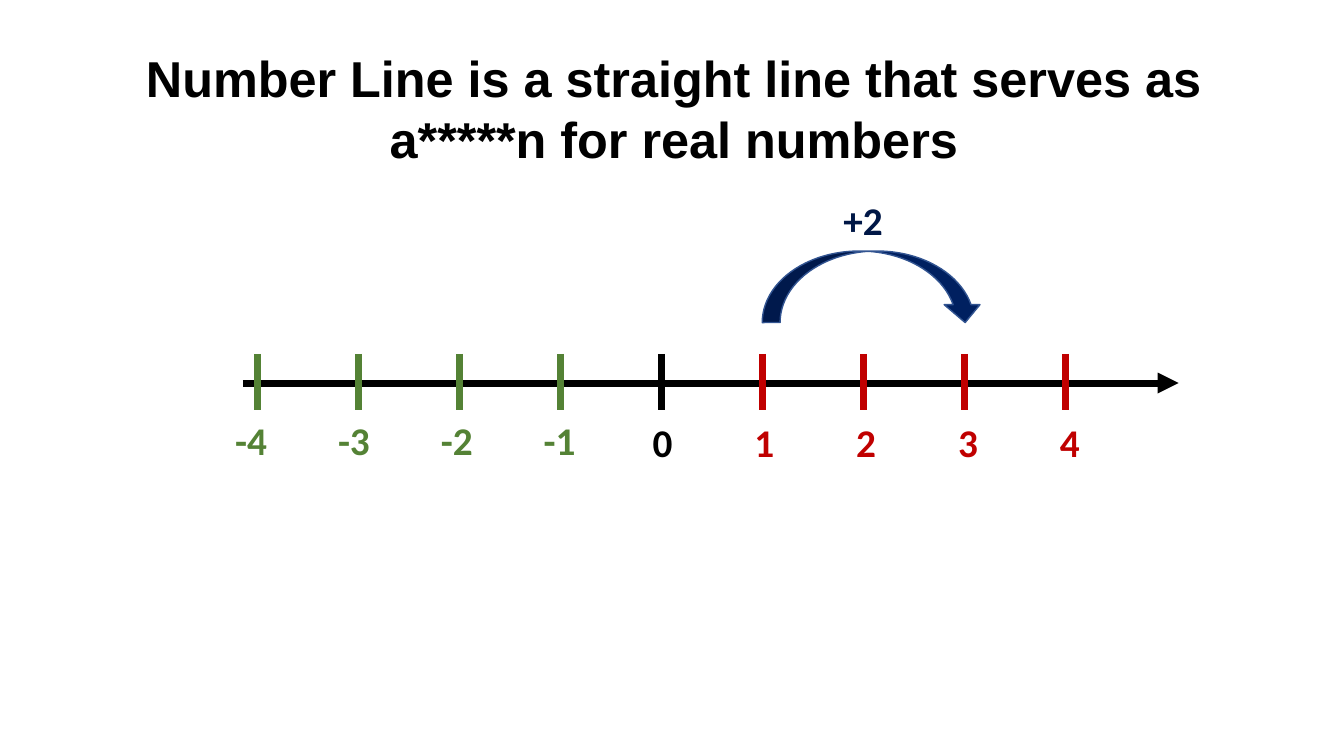
from lxml import etree
from pptx import Presentation
from pptx.dml.color import RGBColor
from pptx.enum import shapes, text
from pptx.oxml import ns
from pptx.util import Inches, Pt

BLACK, RED, GREEN = "000000", "C00000", "548235"
NAVY, NAVY_EDGE, NAVY_TEXT = "002060", "325491", "001746"


def colour(hex_string):
    return RGBColor.from_string(hex_string)


def write(shape, wording, font, size, hex_string):
    """Put one bold, centred run into a shape."""
    frame = shape.text_frame
    frame.word_wrap = True
    frame.auto_size = text.MSO_AUTO_SIZE.NONE
    frame.vertical_anchor = text.MSO_ANCHOR.TOP
    para = frame.paragraphs[0]
    para.alignment = text.PP_ALIGN.CENTER
    span = para.add_run()
    span.text = wording
    span.font.name = font
    span.font.size = Pt(size)
    span.font.bold = True
    span.font.color.rgb = colour(hex_string)


def add_label(page, left, top, wording, hex_string):
    box = page.shapes.add_textbox(Inches(left), Inches(top), Inches(0.88), Inches(0.57))
    write(box, wording, "Calibri", 28, hex_string)


def add_line(page, x1, y1, x2, y2, hex_string, arrow=False):
    line = page.shapes.add_connector(
        shapes.MSO_CONNECTOR.STRAIGHT, Inches(x1), Inches(y1), Inches(x2), Inches(y2))
    line.line.color.rgb = colour(hex_string)
    line.line.width = Pt(5)
    if arrow:
        etree.SubElement(line.line._get_or_add_ln(), ns.qn("a:tailEnd"), type="triangle")
    etree.SubElement(line._element.spPr, ns.qn("a:effectLst"))


def place_title(page, left, top, width, height):
    title = page.shapes.title
    title.left, title.top = Inches(left), Inches(top)
    title.width, title.height = Inches(width), Inches(height)
    write(title, "Number Line is a straight line that serves as a*****n for real numbers",
          "Arial", 36, BLACK)


def draw_number_line(page, left, top, width, reach=4):
    """Axis with ticks and labels from -reach to reach; top is the tick top."""
    axis = top + 0.29
    zero = left + 4.15
    add_line(page, left, axis, left + width, axis, BLACK, arrow=True)
    for number in range(-reach, reach + 1):
        hex_string = GREEN if number < 0 else RED if number else BLACK
        tick = zero + number * 1.0025
        add_line(page, tick, top, tick, top + 0.56, hex_string)
        # Negative labels sit slightly higher and wider apart
        step, drop = (1.02, 0.57) if number < 0 else (1.01, 0.59)
        add_label(page, zero - 0.43 + number * step, top + drop, str(number), hex_string)


def draw_jump(page, left, top, width, height):
    """Curved arrow with its label above."""
    jump = page.shapes.add_shape(
        shapes.MSO_SHAPE.CURVED_DOWN_ARROW,
        Inches(left), Inches(top), Inches(width), Inches(height))
    jump.shadow.inherit = False
    jump.fill.solid()
    jump.fill.fore_color.rgb = colour(NAVY)
    jump.line.color.rgb = colour(NAVY_EDGE)
    jump.line.width = Pt(1)
    add_label(page, left + 0.56, top - 0.59, "+2", NAVY_TEXT)


deck = Presentation()
deck.slide_width, deck.slide_height = Inches(13.33), Inches(7.5)
page = deck.slides.add_slide(deck.slide_layouts.get_by_name("Title Only"))
place_title(page, 0.79, 0.42, 11.79, 1.31)
draw_number_line(page, 2.41, 3.51, 9.28)
draw_jump(page, 7.56, 2.49, 2.19, 0.71)
deck.save("out.pptx")
